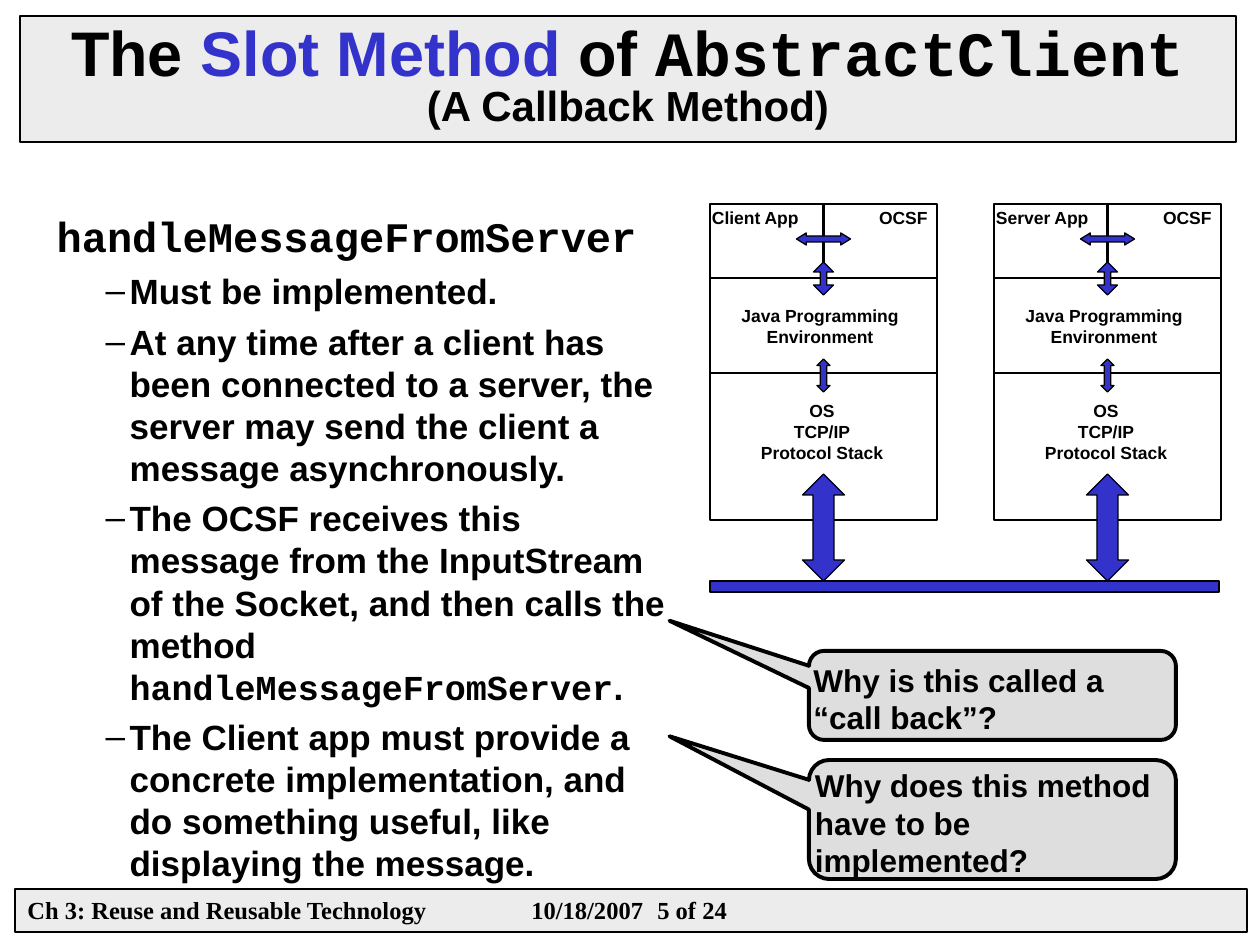
from dataclasses import dataclass

from lxml import etree
from pptx import Presentation, util as u
from pptx.dml.color import RGBColor
from pptx.enum import shapes, text
from pptx.oxml.ns import qn

PX = u.Inches(1) / 126


@dataclass(frozen=True)
class Theme:
    black: str = "000000"
    blue: str = "3333CC"
    panel: str = "C0C0C0"
    panel_alpha: int = 29
    callout: str = "DEDEDE"
    sans: str = "Arial"
    mono: str = "Courier New"
    serif: str = "Times New Roman"
    title: int = 36
    heading: int = 24
    bullet: int = 20
    question: int = 18
    footer: int = 14
    label: int = 10
    box_line: float = 1.4
    arrow_line: float = 0.75
    callout_line: float = 2.25


THEME = Theme()
KIND = shapes.MSO_SHAPE


def px(length):
    return u.Emu(round(length * PX))


def place(shape, box):
    shape.left, shape.top, shape.width, shape.height = map(px, box)


def paint(shape, fill, line_width, alpha=None):
    """Fill and outline a shape; alpha is an opacity in percent."""
    if fill:
        shape.fill.solid()
        shape.fill.fore_color.rgb = RGBColor.from_string(fill)
        if alpha:
            color = shape._element.spPr.find(f"{qn('a:solidFill')}/{qn('a:srgbClr')}")
            etree.SubElement(color, qn("a:alpha"), val=str(alpha * 1000))
    else:
        shape.fill.background()
    shape.line.color.rgb = RGBColor.from_string(THEME.black)
    shape.line.width = u.Pt(line_width)


def add_shape(slide, kind, box, fill=None, line_width=THEME.box_line, alpha=None, adjust=()):
    shape = slide.shapes.add_shape(kind, *map(px, box))
    shape.shadow.inherit = False
    paint(shape, fill, line_width, alpha)
    for index, value in enumerate(adjust):
        shape.adjustments[index] = value
    return shape


def style(run, size, face=THEME.sans, color=THEME.black):
    run.font.size, run.font.name, run.font.bold = u.Pt(size), face, True
    run.font.color.rgb = RGBColor.from_string(color)


def style_frame(frame, size, align, face=THEME.sans):
    for paragraph in frame.paragraphs:
        paragraph.alignment = align
        for run in paragraph.runs:
            style(run, size, face)


def add_run(paragraph, words, *look):
    run = paragraph.add_run()
    run.text = words
    style(run, *look)


def set_insets(frame, left, top, right, bottom):
    frame.margin_left, frame.margin_top = px(left), px(top)
    frame.margin_right, frame.margin_bottom = px(right), px(bottom)


def fill_title(title, box):
    place(title, box)
    paint(title, THEME.panel, 1, THEME.panel_alpha)
    frame = title.text_frame
    frame.auto_size = text.MSO_AUTO_SIZE.NONE
    frame.vertical_anchor = text.MSO_ANCHOR.MIDDLE
    paragraph = frame.paragraphs[0]
    paragraph.alignment = text.PP_ALIGN.CENTER
    paragraph.line_spacing = 0.8
    add_run(paragraph, "The ", THEME.title)
    add_run(paragraph, "Slot Method", THEME.title, THEME.sans, THEME.blue)
    add_run(paragraph, " of ", THEME.title)
    add_run(paragraph, "AbstractClient", THEME.title, THEME.mono)
    paragraph.add_line_break()
    line_break = paragraph._p.find(qn("a:br"))
    etree.SubElement(line_break, qn("a:rPr"), sz=str(THEME.title * 100))
    add_run(paragraph, "(A Callback Method)", THEME.heading)


def set_bullet(paragraph, margin, character=None):
    properties = paragraph._p.get_or_add_pPr()
    properties.set("marL", str(px(margin)))
    properties.set("indent", str(-px(24)))
    if character:
        etree.SubElement(properties, qn("a:buChar"), char=character)
    else:
        etree.SubElement(properties, qn("a:buNone"))


def fill_body(body, box):
    place(body, box)
    frame = body.text_frame
    frame.auto_size = text.MSO_AUTO_SIZE.NONE
    frame.vertical_anchor = text.MSO_ANCHOR.TOP
    method = "handleMessageFromServer"
    heading = frame.paragraphs[0]
    set_bullet(heading, 24)
    heading.space_before = u.Pt(0)
    add_run(heading, method, THEME.heading, THEME.mono)
    bullets = [
        ["Must be implemented."],
        ["At any time after a client has been connected to a server, "
         "the server may send the client a message asynchronously."],
        ["The OCSF receives this message from the InputStream of the Socket, "
         "and then calls the method ", method, "."],
        ["The Client app must provide a concrete implementation, "
         "and do something useful, like displaying the message."],
    ]
    for pieces in bullets:
        paragraph = frame.add_paragraph()
        paragraph.level = 1
        set_bullet(paragraph, 73, "–")
        paragraph.space_before = u.Pt(5)
        for piece in pieces:
            add_run(paragraph, piece, THEME.bullet, THEME.mono if piece == method else THEME.sans)


def add_label(slide, box, words, align=text.PP_ALIGN.CENTER):
    frame = slide.shapes.add_textbox(*map(px, box)).text_frame
    frame.word_wrap = True
    set_insets(frame, 0, 0, 0, 0)
    frame.text = words
    style_frame(frame, THEME.label, align)


def draw_host(slide, box, app_name):
    """Draw the software layers of one computer and the arrows between them."""
    left, top, width, height = box
    half, app_height, java_height = width / 2, 74, 95

    def inside(x, y, w, h):
        return left + x, top + y, w, h

    for part in [(0, app_height, width, height - app_height), (0, 0, half, app_height),
                 (half, 0, half, app_height), (0, app_height, width, java_height)]:
        add_shape(slide, KIND.RECTANGLE, inside(*part))
    add_label(slide, inside(2, 3, 110, 21), app_name, text.PP_ALIGN.LEFT)
    add_label(slide, inside(169, 3, 56, 21), "OCSF", text.PP_ALIGN.LEFT)
    add_label(slide, inside(10, 101, 200, 42), "Java Programming\nEnvironment")
    add_label(slide, inside(12, 196, 200, 63), "OS\nTCP/IP\nProtocol Stack")

    arrows = [
        (KIND.LEFT_RIGHT_ARROW, 29, 54, 12, 0.81),
        (KIND.UP_DOWN_ARROW, 270, 42, 107, 0.5),
        (KIND.UP_DOWN_ARROW, 155, 13, 33, 0.5),
        (KIND.UP_DOWN_ARROW, 58, 20, 33, 0.33),
    ]
    for kind, y, w, h, head in arrows:
        add_shape(slide, kind, inside(half - w / 2, y, w, h), THEME.blue,
                  THEME.arrow_line, adjust=(0.5, head))


def draw_network(slide, box):
    left, top, width, height = box
    host_width, bar_height = 227, 11
    for x, app_name in [(left, "Client App"), (left + width - host_width, "Server App")]:
        draw_host(slide, (x, top, host_width, 316), app_name)
    add_shape(slide, KIND.RECTANGLE, (left, top + height - bar_height, width - 2, bar_height),
              THEME.blue, THEME.arrow_line)


def draw_question(slide, box, words, tip):
    callout = add_shape(slide, KIND.ROUNDED_RECTANGULAR_CALLOUT, box, THEME.callout,
                        THEME.callout_line, adjust=(*tip, 0.17))
    frame = callout.text_frame
    frame.word_wrap = True
    frame.vertical_anchor = text.MSO_ANCHOR.MIDDLE
    set_insets(frame, 0, 6, 0, 0)
    frame.text = words
    style_frame(frame, THEME.question, text.PP_ALIGN.LEFT)


def draw_footer(slide, box):
    bar = add_shape(slide, KIND.RECTANGLE, box, THEME.panel, 1, THEME.panel_alpha)
    frame = bar.text_frame
    frame.vertical_anchor = text.MSO_ANCHOR.TOP
    frame.text = "Ch 3: Reuse and Reusable Technology\t10/18/2007\t5 of 24"
    tabs = etree.SubElement(frame.paragraphs[0]._p.get_or_add_pPr(), qn("a:tabLst"))
    for position in (504, 630):
        etree.SubElement(tabs, qn("a:tab"), pos=str(px(position)), algn="l")
    style_frame(frame, THEME.footer, text.PP_ALIGN.LEFT, THEME.serif)


def main():
    presentation = Presentation()
    presentation.slide_width, presentation.slide_height = px(1260), px(945)
    slide = presentation.slides.add_slide(presentation.slide_layouts[1])
    draw_footer(slide, (15, 889, 1232, 43))
    fill_title(slide.shapes.title, (20, 16, 1216, 126))
    fill_body(slide.placeholders[1], (44, 204, 635, 635))
    draw_network(slide, (710, 204, 511, 388))
    draw_question(slide, (809, 651, 367, 89), "Why is this called a “call back”?", (-0.88, -0.84))
    draw_question(slide, (809, 760, 367, 119), "Why does this method have to be implemented?",
                  (-0.88, -0.7))
    presentation.save("out.pptx")


if __name__ == "__main__":
    main()
